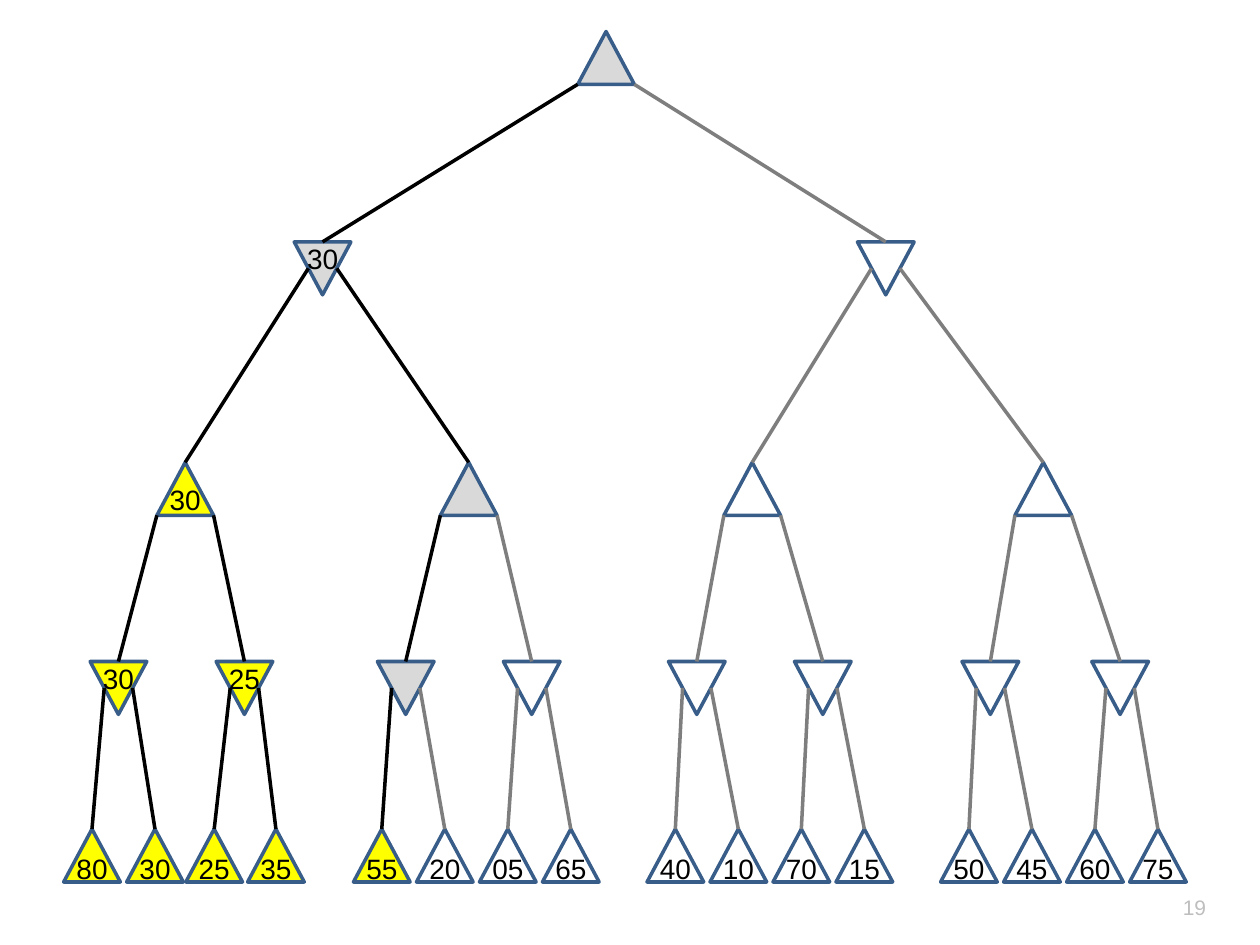
from dataclasses import dataclass

from lxml.etree import SubElement
from pptx import Presentation
from pptx.dml.color import RGBColor
from pptx.enum.shapes import MSO_CONNECTOR, MSO_SHAPE
from pptx.enum.text import PP_ALIGN
from pptx.oxml.ns import qn
from pptx.util import Inches, Pt

BLACK = RGBColor(0x00, 0x00, 0x00)
GRAY = RGBColor(0x7E, 0x7E, 0x7E)
PALE_GRAY = RGBColor(0xBE, 0xBE, 0xBE)
OUTLINE = RGBColor(0x38, 0x5D, 0x89)
OPEN = RGBColor(0xD9, 0xD9, 0xD9)
DONE = RGBColor(0xFF, 0xFF, 0x00)
UNSEEN = None

FONT = "Arial"
LINE_WIDTH = Pt(2)
NODE_WIDTH = 0.45
NODE_HEIGHT = 0.42
LABEL_WIDTH = 0.28


@dataclass
class Node:
    center: float
    fill: RGBColor = UNSEEN
    label: str = ""


@dataclass
class Level:
    top: float
    is_max: bool
    label_drop: float
    nodes: list


def leaf_level():
    centers = [0.73, 1.23, 1.7, 2.19]
    centers += [start + 0.5 * step for start in (3.03, 5.36, 7.69) for step in range(4)]
    labels = "80 30 25 35 55 20 05 65 40 10 70 15 50 45 60 75".split()
    fills = [DONE] * 5 + [UNSEEN] * 11
    return [Node(*values) for values in zip(centers, fills, labels)]


LEVELS = [
    Level(0.25, True, 0.16, [Node(4.81, OPEN)]),
    Level(1.92, False, 0, [Node(2.56, OPEN, "30"), Node(7.03)]),
    Level(3.67, True, 0.16, [Node(1.47, DONE, "30"), Node(3.72, OPEN), Node(5.97), Node(8.28)]),
    Level(5.25, False, 0, [
        Node(0.94, DONE, "30"), Node(1.94, DONE, "25"), Node(3.22, OPEN), Node(4.22),
        Node(5.53), Node(6.53), Node(7.86), Node(8.89),
    ]),
    Level(6.58, True, 0.18, leaf_level()),
]


def add_triangle(page, level, node):
    kind = MSO_SHAPE.ISOSCELES_TRIANGLE if level.is_max else MSO_SHAPE.FLOWCHART_MERGE
    triangle = page.shapes.add_shape(
        kind, Inches(node.center - NODE_WIDTH / 2), Inches(level.top),
        Inches(NODE_WIDTH), Inches(NODE_HEIGHT))
    triangle.shadow.inherit = False
    triangle.line.color.rgb = OUTLINE
    triangle.line.width = LINE_WIDTH
    if node.fill is UNSEEN:
        triangle.fill.background()
    else:
        triangle.fill.solid()
        triangle.fill.fore_color.rgb = node.fill


def add_edge(page, level, parent, below, child, side):
    reach = 1 if level.is_max else 0.5
    edge = page.shapes.add_connector(
        MSO_CONNECTOR.STRAIGHT,
        Inches(parent.center + side * reach * NODE_WIDTH / 2),
        Inches(level.top + reach * NODE_HEIGHT),
        Inches(child.center), Inches(below.top))
    edge.line.color.rgb = GRAY if child.fill is UNSEEN else BLACK
    edge.line.width = LINE_WIDTH
    SubElement(edge._element.spPr, qn("a:effectLst"))


def add_text(page, text, left, top, size, color):
    box = page.shapes.add_textbox(
        Inches(left), Inches(top), Inches(LABEL_WIDTH), Inches(LABEL_WIDTH))
    frame = box.text_frame
    frame.word_wrap = True
    frame.margin_left = frame.margin_right = 0
    frame.margin_top = frame.margin_bottom = 0
    para = frame.paragraphs[0]
    para.alignment = PP_ALIGN.CENTER
    span = para.add_run()
    span.text = text
    span.font.name = FONT
    span.font.size = Pt(size)
    span.font.color.rgb = color


def add_level(page, level):
    for node in level.nodes:
        add_triangle(page, level, node)


def add_edges(page, level, below):
    for index, child in enumerate(below.nodes):
        side = 1 if index % 2 else -1
        add_edge(page, level, level.nodes[index // 2], below, child, side)


def add_labels(page, level):
    for node in level.nodes:
        if node.label:
            add_text(page, node.label, node.center - LABEL_WIDTH / 2,
                     level.top + level.label_drop, 16, BLACK)


def main():
    deck = Presentation()
    deck.slide_width = Inches(10)
    deck.slide_height = Inches(7.5)
    page = deck.slides.add_slide(deck.slide_layouts[6])
    for level in LEVELS:
        add_level(page, level)
    for level, below in zip(LEVELS, LEVELS[1:]):
        add_edges(page, level, below)
    for level in LEVELS:
        add_labels(page, level)
    add_text(page, "19", 9.34, 7.1, 12, PALE_GRAY)
    deck.save("out.pptx")


if __name__ == "__main__":
    main()
